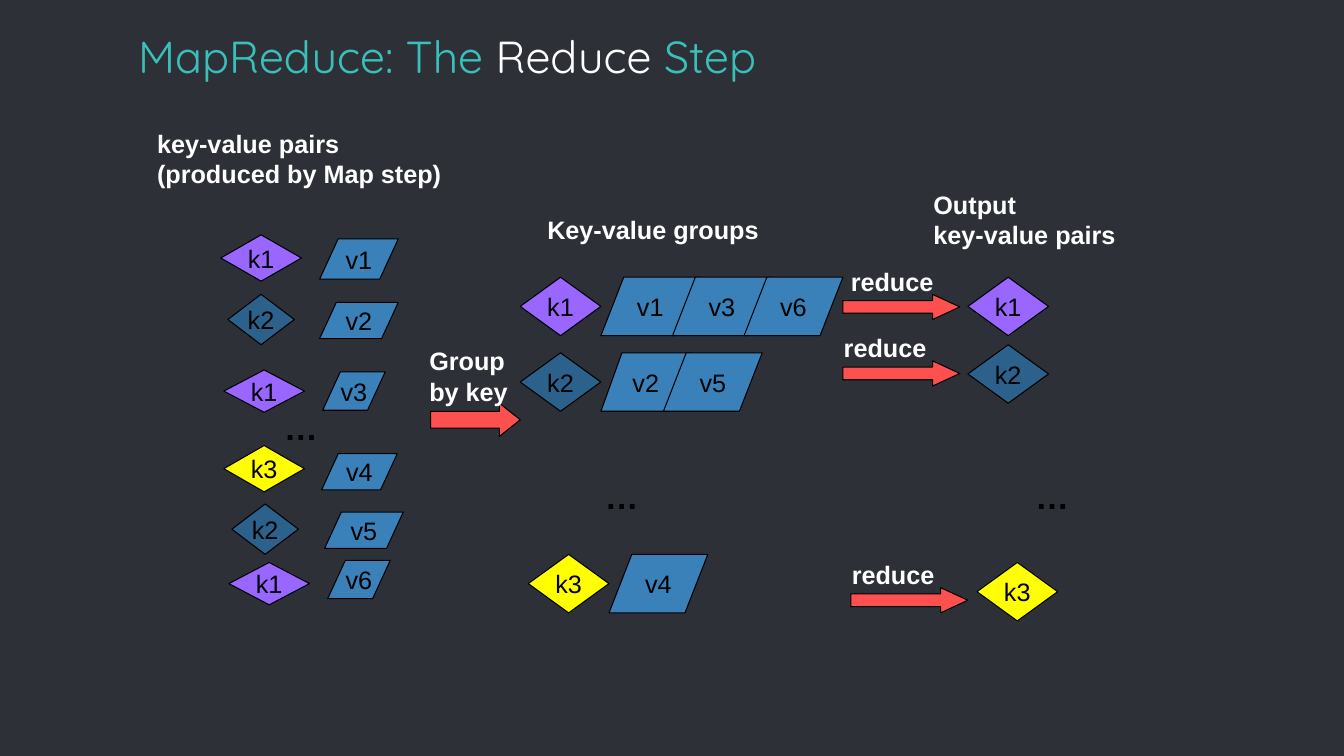
from pptx import Presentation
from pptx.dml.color import RGBColor
from pptx.enum.shapes import MSO_SHAPE
from pptx.enum.text import MSO_ANCHOR, MSO_AUTO_SIZE, PP_ALIGN
from pptx.util import Inches, Pt

TEAL, WHITE, BLACK = "39C0BA", "FFFFFF", "000000"
RED, BLUE, DARK = "FF5050", "3A81BA", "2E3037"
KEYS = {"k1": "9966FF", "k2": "2B618B", "k3": "FFFF00"}


def paint(target, color):
    """Give a fill a solid colour from a hex string."""
    target.solid()
    target.fore_color.rgb = RGBColor.from_string(color)


def write(par, text, size=18, font="Arial", color=BLACK, bold=False):
    run = par.add_run()
    run.text = text
    run.font.size = Pt(size)
    run.font.name = font
    run.font.bold = bold
    paint(run.font.fill, color)


class Board:
    """Holds the current slide and draws its kinds of element."""

    def __init__(self, deck):
        self.slide = deck.slides.add_slide(deck.slide_layouts[5])
        paint(self.slide.background.fill, DARK)

    def title(self, parts, box):
        shape = self.slide.shapes.title
        shape.left, shape.top, shape.width, shape.height = map(Inches, box)
        frame = shape.text_frame
        frame.auto_size = MSO_AUTO_SIZE.NONE
        frame.vertical_anchor = MSO_ANCHOR.BOTTOM
        frame.margin_left = frame.margin_right = Inches(0.1)
        frame.margin_top = frame.margin_bottom = Inches(0.1)
        par = frame.paragraphs[0]
        par.alignment = PP_ALIGN.LEFT
        for text, color in parts:
            write(par, text, size=32, font="Quicksand", color=color)

    def label(self, lines, box, wrap=False, size=18, color=WHITE):
        frame = self.slide.shapes.add_textbox(*map(Inches, box)).text_frame
        frame.word_wrap = wrap
        frame.auto_size = MSO_AUTO_SIZE.SHAPE_TO_FIT_TEXT
        for i, line in enumerate(lines):
            par = frame.add_paragraph() if i else frame.paragraphs[0]
            write(par, line, size=size, color=color, bold=True)

    def dots(self, left, top):
        self.label(["…"], (left, top, 0.54, 0.5), size=24, color=BLACK)

    def form(self, kind, box, color, adjust=()):
        shape = self.slide.shapes.add_shape(kind, *map(Inches, box))
        shape.shadow.inherit = False
        paint(shape.fill, color)
        paint(shape.line.fill, BLACK)
        shape.line.width = Pt(0.75)
        for i, value in enumerate(adjust):
            shape.adjustments[i] = value
        return shape

    def name(self, shape, text):
        frame = shape.text_frame
        frame.word_wrap = False
        frame.vertical_anchor = MSO_ANCHOR.MIDDLE
        par = frame.paragraphs[0]
        par.alignment = PP_ALIGN.CENTER
        write(par, text)

    def key(self, text, left, top, width=0.8, height=0.58):
        box = (left, top, width, height)
        self.name(self.form(MSO_SHAPE.DIAMOND, box, KEYS[text]), text)

    def value(self, text, left, top, width=0.98, height=0.58, slant=0.39):
        box = (left, top, width, height)
        shape = self.form(MSO_SHAPE.PARALLELOGRAM, box, BLUE, [slant])
        self.name(shape, text)

    def arrow(self, box, head):
        self.form(MSO_SHAPE.RIGHT_ARROW, box, RED, [0.5, head])

    def reduce(self, left, top, shift=0.0):
        self.arrow((left, top, 1.16, 0.25), 1.08)
        self.label(["reduce"], (left - 0.09 + shift, top - 0.33, 1.03, 0.4))


def main():
    deck = Presentation()
    deck.slide_width, deck.slide_height = Inches(13.33), Inches(7.5)
    board = Board(deck)
    board.title([("MapReduce: The ", TEAL), ("Reduce ", WHITE),
                 ("Step", TEAL)], (1.27, 0.33, 10.8, 0.59))

    # Pairs from the map step: key and its box, value and its box
    board.label(["key-value pairs", "(produced by Map step)"],
                (1.46, 1.22, 3.7, 0.71), wrap=True)
    pairs = [
        ("k1", (2.19, 2.33, 0.8, 0.46), "v1", (3.17, 2.37, 0.78, 0.4)),
        ("k2", (2.26, 2.92, 0.66, 0.5), "v2", (3.17, 3, 0.78, 0.36)),
        ("k1", (2.22, 3.67, 0.8, 0.42), "v3", (3.2, 3.69, 0.62, 0.38)),
        ("k3", (2.22, 4.42, 0.8, 0.46), "v4", (3.19, 4.5, 0.75, 0.36)),
        ("k2", (2.3, 5, 0.66, 0.5), "v5", (3.22, 5.08, 0.78, 0.36)),
        ("k1", (2.27, 5.58, 0.8, 0.42), "v6", (3.25, 5.56, 0.62, 0.38)),
    ]
    for key, spot, value, place in pairs:
        board.key(key, *spot)
        board.value(value, *place, slant=0.46)
    board.dots(2.72, 3.99)

    # Grouping arrow
    board.arrow((4.27, 4, 0.89, 0.33), 0.63)
    board.label(["Group", "by key"], (4.16, 3.38, 0.99, 0.71))

    # Groups: each key is followed by its values
    board.label(["Key-value groups"], (5.33, 2.08, 2.76, 0.4), wrap=True)
    for key, left, top in [("k1", 5.16, 2.75), ("k2", 5.16, 3.5),
                           ("k3", 5.24, 5.5)]:
        board.key(key, left, top)
    for i, value in enumerate(["v1", "v3", "v6"]):
        board.value(value, 5.96 + 0.71 * i, 2.75)
    board.value("v2", 5.96, 3.5, width=0.89, slant=0.36)
    board.value("v5", 6.58, 3.5)
    board.value("v4", 6.04, 5.5)
    board.dots(5.9, 4.67)

    # Reduced output
    board.label(["Output", "key-value pairs"], (9.16, 1.83, 2.4, 0.71),
                wrap=True)
    board.reduce(8.36, 2.92, shift=0.07)
    board.reduce(8.36, 3.58)
    board.reduce(8.44, 5.83)
    for key, left, top in [("k1", 9.6, 2.75), ("k2", 9.6, 3.42),
                           ("k3", 9.69, 5.58)]:
        board.key(key, left, top)
    board.dots(10.17, 4.67)

    deck.save("out.pptx")


if __name__ == "__main__":
    main()
